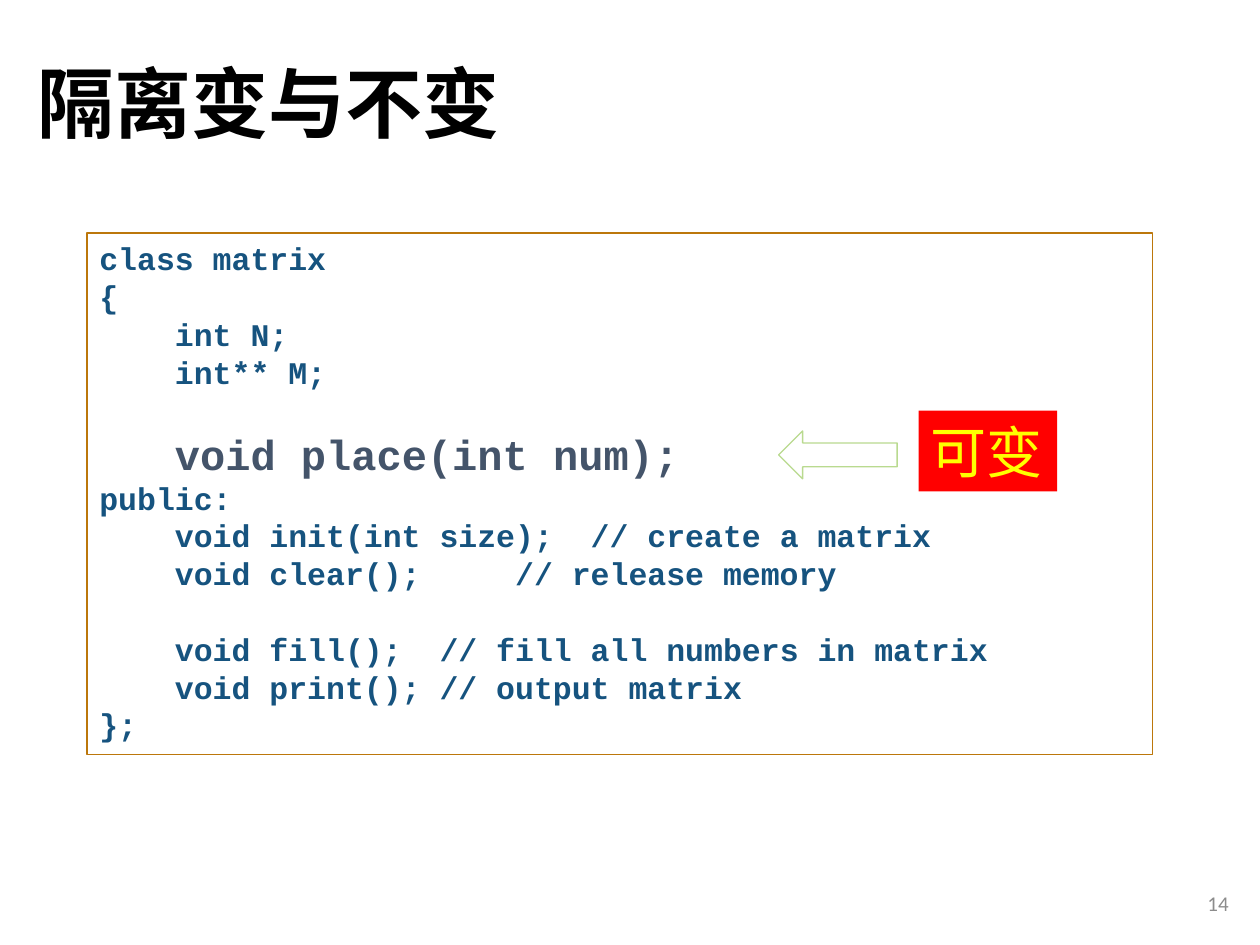
from dataclasses import dataclass

from pptx import Presentation
from pptx.dml.color import RGBColor
from pptx.enum.shapes import MSO_SHAPE
from pptx.enum.text import MSO_ANCHOR, PP_ALIGN
from pptx.oxml.ns import qn
from pptx.util import Inches, Pt


@dataclass(frozen=True)
class Theme:
    title_font: str = "Noto Sans CJK SC"
    code_font: str = "Courier New"
    number_font: str = "Calibri"
    title_size: int = 44
    label_size: int = 32
    emphasis_size: int = 24
    code_size: int = 18
    number_size: int = 12
    leading: float = 1.2
    border_width: float = 0.75
    title: str = "000000"
    code: str = "16537F"
    emphasis: str = "44546A"
    border: str = "BC770B"
    arrow: str = "B9DA8F"
    label_fill: str = "FF0000"
    label_text: str = "FFFF00"
    number: str = "8C8C8C"


THEME = Theme()
CODE = """class matrix
{
    int N;
    int** M;

   void place(int num);
public:
    void init(int size);  // create a matrix
    void clear(); \t  // release memory

    void fill();  // fill all numbers in matrix
    void print(); // output matrix
};"""


def style(paragraph, font, size, color, bold=False, align=PP_ALIGN.LEFT):
    paragraph.alignment = align
    for run in paragraph.runs:
        run.font.name = font
        run.font.size = Pt(size)
        run.font.bold = bold
        run.font.color.rgb = RGBColor.from_string(color)
        east_asian = run.font._element.makeelement(qn("a:ea"), {"typeface": font})
        run.font._element.append(east_asian)


def add_outline(slide, kind, box, fill=None, line=None):
    outline = slide.shapes.add_shape(kind, *map(Inches, box))
    outline.shadow.inherit = False
    if fill:
        outline.fill.solid()
        outline.fill.fore_color.rgb = RGBColor.from_string(fill)
    else:
        outline.fill.background()
    if line:
        outline.line.color.rgb = RGBColor.from_string(line)
        outline.line.width = Pt(THEME.border_width)
    else:
        outline.line.fill.background()
    return outline


def add_title(slide, box, wording):
    title = slide.shapes.title
    title.left, title.top, title.width, title.height = map(Inches, box)
    title.text_frame.text = wording
    title.text_frame.vertical_anchor = MSO_ANCHOR.MIDDLE
    heading = title.text_frame.paragraphs[0]
    heading.line_spacing = 0.9
    style(heading, THEME.title_font, THEME.title_size, THEME.title, bold=True)


def add_code(slide, box, source, emphasized):
    listing = add_outline(slide, MSO_SHAPE.RECTANGLE, box, line=THEME.border)
    frame = listing.text_frame
    frame.word_wrap = True
    frame.vertical_anchor = MSO_ANCHOR.TOP
    lines = source.split("\n")
    frame.text = "\n".join(line for line in lines if line)
    after_gap = {line for previous, line in zip(lines, lines[1:]) if not previous}
    for paragraph in frame.paragraphs:
        strong = emphasized in paragraph.text
        size = THEME.emphasis_size if strong else THEME.code_size
        color = THEME.emphasis if strong else THEME.code
        paragraph.line_spacing = Pt(size * THEME.leading)
        if paragraph.text in after_gap:
            paragraph.space_before = Pt(THEME.code_size * THEME.leading)
        style(paragraph, THEME.code_font, size, color, bold=True)


def add_callout(slide, box, wording):
    left, top, width, height = box
    label_width, arrow_width, arrow_height = 1.1, 0.94, 0.38
    label_box = (left + width - label_width, top, label_width, height)
    label = add_outline(slide, MSO_SHAPE.RECTANGLE, label_box, fill=THEME.label_fill)
    label.text_frame.word_wrap = False
    label.text_frame.text = wording
    style(label.text_frame.paragraphs[0], THEME.code_font, THEME.label_size, THEME.label_text)
    arrow_top = top + (height - arrow_height) / 2 + 0.03
    arrow_box = (left, arrow_top, arrow_width, arrow_height)
    arrow = add_outline(slide, MSO_SHAPE.RIGHT_ARROW, arrow_box, line=THEME.arrow)
    arrow.rotation = 180


def add_page_number(slide, box, number):
    frame = slide.shapes.add_textbox(*map(Inches, box)).text_frame
    frame.word_wrap = True
    frame.vertical_anchor = MSO_ANCHOR.MIDDLE
    frame.text = number
    style(frame.paragraphs[0], THEME.number_font, THEME.number_size, THEME.number,
          align=PP_ALIGN.RIGHT)


def main():
    deck = Presentation()
    deck.slide_width, deck.slide_height = Inches(10), Inches(7.5)
    slide = deck.slides.add_slide(deck.slide_layouts[5])
    add_title(slide, (0.2, 0.13, 8.62, 1.45), "隔离变与不变")
    add_page_number(slide, (7.6, 6.97, 2.25, 0.4), "14")
    add_code(slide, (0.69, 1.85, 8.46, 4.14), CODE, "place")
    add_callout(slide, (6.18, 3.26, 2.21, 0.64), "可变")
    deck.save("out.pptx")


if __name__ == "__main__":
    main()
